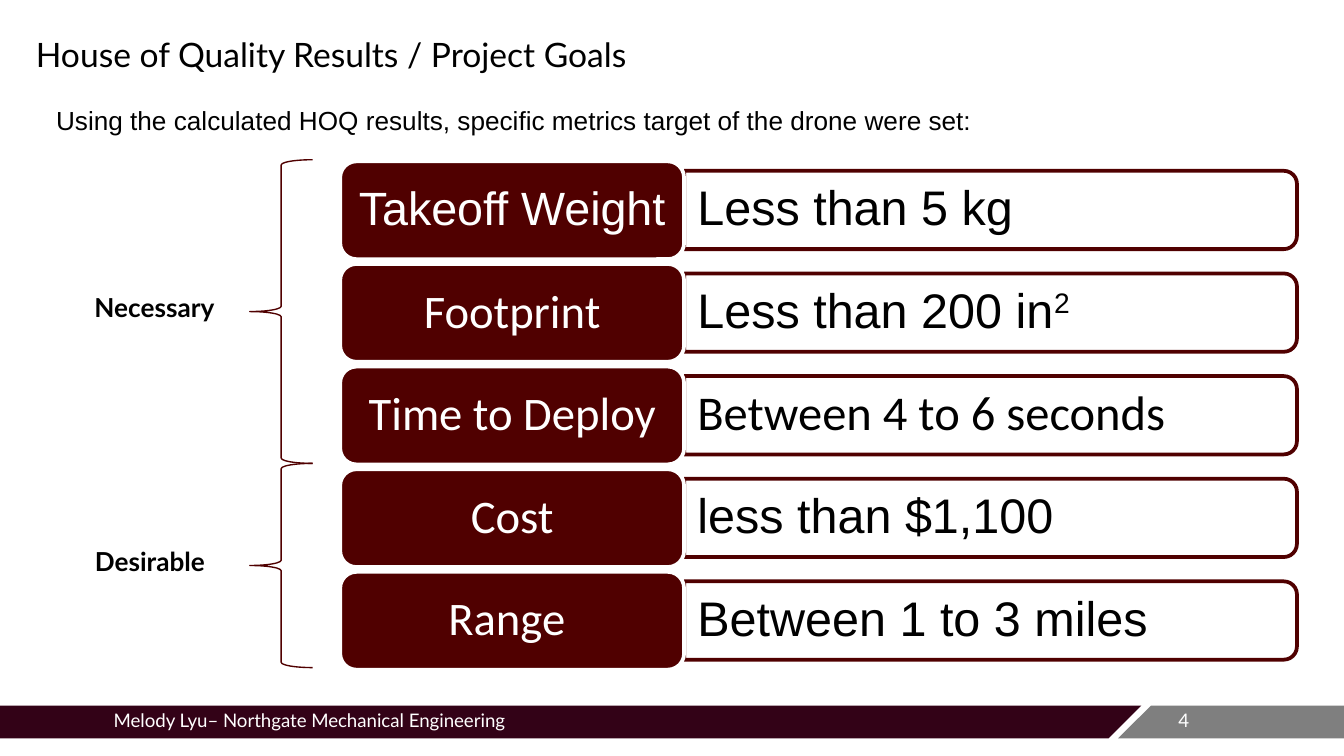
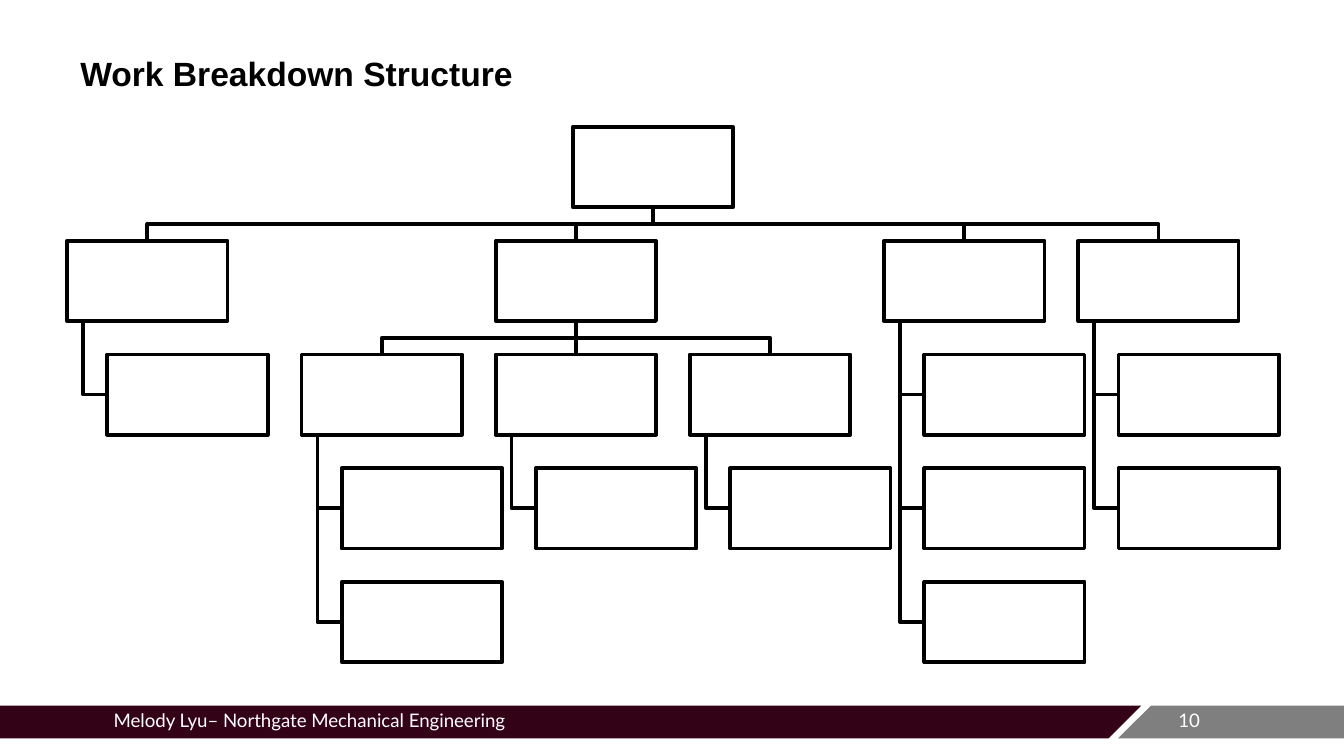
from dataclasses import dataclass

import pptx
import pptx.dml.color
import pptx.enum.shapes
import pptx.enum.text
import pptx.util
from lxml import etree
from pptx.util import Cm

SHAPE = pptx.enum.shapes.MSO_SHAPE
ALIGN = pptx.enum.text.PP_ALIGN
ANCHOR = pptx.enum.text.MSO_ANCHOR


@dataclass(frozen=True)
class Theme:
    maroon: str = "500000"
    band: str = "330217"
    grey: str = "7F7F7F"
    white: str = "FFFFFF"
    black: str = "000000"
    heading_font: str = "Lato"
    body_font: str = "Arial"
    row_font: str = "Calibri"
    title_size: int = 18
    text_size: int = 14
    footer_size: int = 10
    label_size: int = 25
    detail_size: int = 26
    outline: float = 2
    thin_outline: float = 0.75


@dataclass(frozen=True)
class Box:
    """A rectangle in centimetres."""
    left: float
    top: float
    width: float
    height: float

    @property
    def center(self):
        return self.left + self.width / 2

    @property
    def middle(self):
        return self.top + self.height / 2

    @property
    def bottom(self):
        return self.top + self.height

    def lengths(self):
        return Cm(self.left), Cm(self.top), Cm(self.width), Cm(self.height)


THEME = Theme()
PAGE = Box(0, 0, 25.4, 14.29)
FOOTER = Box(0, 13.34, 25.4, 0.62)
FOOTER_TEXT = "Melody Lyu– Northgate Mechanical Engineering"


# Shared drawing helpers
def rgb(color):
    return pptx.dml.color.RGBColor.from_string(color)


def paint(shape, fill=None, line=None, width=THEME.outline):
    shape.shadow.inherit = False
    if fill:
        shape.fill.solid()
        shape.fill.fore_color.rgb = rgb(fill)
    else:
        shape.fill.background()
    if line:
        shape.line.color.rgb = rgb(line)
        shape.line.width = pptx.util.Pt(width)
    else:
        shape.line.fill.background()


def add_shape(page, kind, box, **colors):
    shape = page.shapes.add_shape(kind, *box.lengths())
    paint(shape, **colors)
    return shape


def add_outline(page, points, close, **colors):
    corners = [(Cm(x), Cm(y)) for x, y in points]
    builder = page.shapes.build_freeform(*corners[0])
    builder.add_line_segments(corners[1:], close=close)
    paint(builder.convert_to_shape(), **colors)


def write(shape, text, size, font, color=THEME.black, bold=False,
          align=ALIGN.LEFT, anchor=ANCHOR.TOP, spacing=None):
    frame = shape.text_frame
    frame.word_wrap = True
    frame.vertical_anchor = anchor
    frame.text = text
    para = frame.paragraphs[0]
    para.alignment = align
    para.line_spacing = spacing
    span = para.runs[0]
    span.font.size = pptx.util.Pt(size)
    span.font.name = font
    span.font.bold = bold
    span.font.color.rgb = rgb(color)
    return para


def add_text(page, box, text, size, font, **style):
    return write(page.shapes.add_textbox(*box.lengths()), text, size, font, **style)


# Parts on every page
def add_footer(page, box, number):
    slant, seam = 0.62, 21.57
    add_outline(page, [(box.left, box.top), (seam, box.top),
                       (seam - slant, box.bottom), (box.left, box.bottom)],
                True, fill=THEME.band)
    right, seam = box.left + box.width, seam + 0.18
    add_outline(page, [(seam, box.top), (right, box.top),
                       (right, box.bottom), (seam - slant, box.bottom)],
                True, fill=THEME.grey)
    for text, left, width in ((str(number), 22.02, 1.47), (FOOTER_TEXT, 1.9, 14.3)):
        add_text(page, Box(box.left + left, box.top - 0.06, width, 0.76), text,
                 THEME.footer_size, THEME.heading_font, color=THEME.white)


def add_page(deck, number, title, title_box, font, bold=False):
    page = deck.slides.add_slide(deck.slide_layouts[6])
    add_footer(page, FOOTER, number)
    add_text(page, title_box, title, THEME.title_size, font, bold=bold,
             anchor=ANCHOR.MIDDLE)
    return page


# Project goals
GOALS = [  # label, its font, target, its font, superscript
    ("Takeoff Weight", THEME.body_font, "Less than 5 kg", THEME.body_font, ""),
    ("Footprint", THEME.row_font, "Less than 200 in", THEME.body_font, "2"),
    ("Time to Deploy", THEME.row_font, "Between 4 to 6 seconds", THEME.row_font, ""),
    ("Cost", THEME.row_font, "less than $1,100", THEME.body_font, ""),
    ("Range ", THEME.row_font, "Between 1 to 3 miles", THEME.body_font, ""),
]
PRIORITIES = [  # name, brace height, text left, text width
    ("Necessary", 5.74, 1.12, 3.6),
    ("Desirable", 3.86, 1.17, 3.33),
]


def add_goal_row(page, box, goal):
    label, label_font, target, target_font, power = goal
    label_box = Box(box.left, box.top, 6.5, box.height)
    target_left = box.left + label_box.width
    target_box = Box(target_left, box.top + 0.18,
                     box.width - label_box.width, box.height - 0.37)

    # The frame is turned so that its rounded end faces right
    frame = add_shape(page, SHAPE.ROUND_2_SAME_RECTANGLE,
                      Box(target_box.center - target_box.height / 2,
                          target_box.middle - target_box.width / 2,
                          target_box.height, target_box.width),
                      fill=THEME.white, line=THEME.maroon)
    frame.rotation = 90
    para = add_text(page, target_box, target, THEME.detail_size, target_font,
                    anchor=ANCHOR.MIDDLE, spacing=0.9)
    if power:
        span = para.add_run()
        span.text = power
        span.font.size = pptx.util.Pt(THEME.detail_size)
        span.font.name = target_font
        span.font.color.rgb = rgb(THEME.black)
        span._r.get_or_add_rPr().set("baseline", "30000")

    tile = add_shape(page, SHAPE.ROUNDED_RECTANGLE, label_box,
                     fill=THEME.maroon, line=THEME.white)
    write(tile, label, THEME.label_size, label_font, color=THEME.white,
          align=ALIGN.CENTER, anchor=ANCHOR.MIDDLE, spacing=0.9)


def add_priorities(page, box):
    top = box.top
    for name, height, text_left, text_width in PRIORITIES:
        brace = Box(box.left, top, box.width, height)
        add_shape(page, SHAPE.LEFT_BRACE, brace, line=THEME.maroon,
                  width=THEME.thin_outline)
        add_text(page, Box(text_left, brace.middle - 0.51, text_width, 1.02), name,
                 THEME.text_size, THEME.heading_font, bold=True, align=ALIGN.CENTER)
        top += height


def add_goals_page(deck):
    page = add_page(deck, 4, "House of Quality Results / Project Goals",
                    Box(0.43, 0.18, 14.05, 1.68), THEME.heading_font)
    add_text(page, Box(0.81, 1.85, 20.2, 0.86),
             "Using the calculated HOQ results, specific metrics target of the drone were set:",
             THEME.text_size, THEME.body_font)
    for index, goal in enumerate(GOALS):
        add_goal_row(page, Box(6.43, 3.05 + 1.94 * index, 18.08, 1.85), goal)
    add_priorities(page, Box(4.72, 3.02, 1.19, 9.6))


# Work breakdown structure
HEADS = [  # column, level, number of boxes hanging below
    (0, 1, 1), (2, 1, 0), (4, 1, 3), (5, 1, 2),
    (1, 2, 2), (2, 2, 1), (3, 2, 1),
]
NODE_WIDTH, NODE_HEIGHT = 3.03, 1.52
COLUMN_STEP, LEVEL_STEP = 3.67, 2.15
HANG_INDENT, STEM_INDENT = 0.76, 0.3


def add_branch(page, parent, child):
    """Joins the foot of a box to the head of one below it."""
    if parent.center == child.center:
        line = page.shapes.add_connector(
            pptx.enum.shapes.MSO_CONNECTOR.STRAIGHT,
            Cm(parent.center), Cm(parent.bottom), Cm(child.center), Cm(child.top))
        line.line.color.rgb = rgb(THEME.black)
        line.line.width = pptx.util.Pt(THEME.outline)
        etree.SubElement(line._element.spPr, pptx.oxml.ns.qn("a:effectLst"))
        return
    bus = (parent.bottom + child.top) / 2
    add_outline(page, [(parent.center, parent.bottom), (parent.center, bus),
                       (child.center, bus), (child.center, child.top)],
                False, line=THEME.black)


def add_stem(page, head, leaf):
    """Joins a box to one that hangs at its side."""
    stem = head.left + STEM_INDENT
    add_outline(page, [(stem, head.bottom), (stem, leaf.middle),
                       (leaf.left, leaf.middle)], False, line=THEME.black)


def add_breakdown(page, box):
    def node(column, level, indent=0):
        # Every column after the first makes room for its hanging box
        shift = HANG_INDENT if column else 0
        return Box(box.left + column * COLUMN_STEP + shift + indent,
                   box.top + level * LEVEL_STEP, NODE_WIDTH, NODE_HEIGHT)

    heads = {(column, level): node(column, level) for column, level, _ in HEADS}
    root_center = (heads[0, 1].center + heads[5, 1].center) / 2
    root = Box(root_center - NODE_WIDTH / 2, box.top, NODE_WIDTH, NODE_HEIGHT)
    nodes = [root]

    # Lines lie behind the boxes
    for column, level, count in HEADS:
        head = heads[column, level]
        add_branch(page, root if level == 1 else heads[2, 1], head)
        leaves = [node(column, level + step, HANG_INDENT)
                  for step in range(1, count + 1)]
        for leaf in leaves:
            add_stem(page, head, leaf)
        nodes += [head, *leaves]

    for item in nodes:
        add_shape(page, SHAPE.RECTANGLE, item, fill=THEME.white, line=THEME.black)


def add_breakdown_page(deck):
    page = add_page(deck, 10, "Work Breakdown Structure",
                    Box(1.27, 0.55, 13.56, 1.68), THEME.body_font, bold=True)
    add_breakdown(page, Box(1.27, 2.4, 22.86, 10.12))


def main():
    deck = pptx.Presentation()
    deck.slide_width, deck.slide_height = Cm(PAGE.width), Cm(PAGE.height)
    add_goals_page(deck)
    add_breakdown_page(deck)
    deck.save("out.pptx")


if __name__ == "__main__":
    main()
